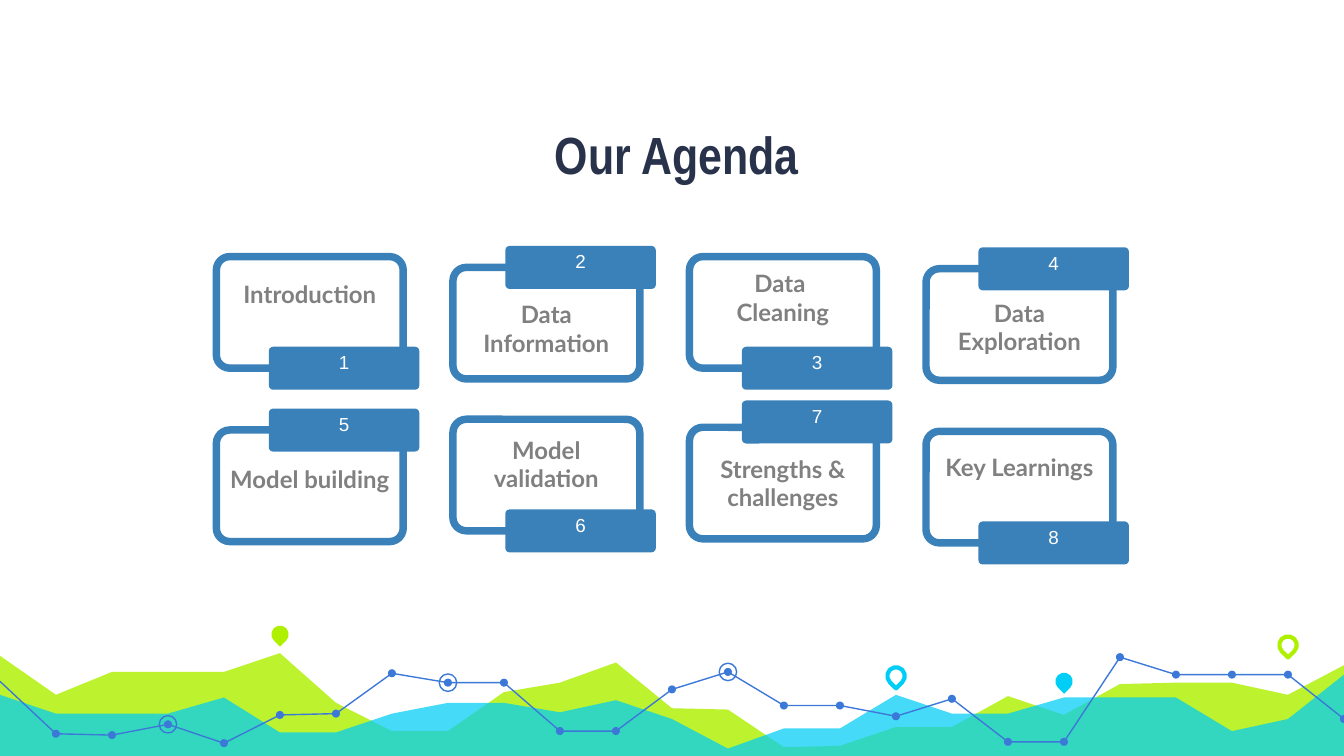
from lxml.etree import SubElement
from pptx import Presentation
from pptx.dml.color import RGBColor
from pptx.enum.shapes import MSO_SHAPE as Shape
from pptx.enum.text import MSO_ANCHOR as Anchor, PP_ALIGN as Align
from pptx.oxml.ns import qn
from pptx.util import Inches, Pt

WHITE = RGBColor(0xFF, 0xFF, 0xFF)
NAVY = RGBColor(0x28, 0x32, 0x4A)
GRAY = RGBColor(0x80, 0x80, 0x80)
STEEL = RGBColor(0x3A, 0x81, 0xBA)
LIME = RGBColor(0xAF, 0xF0, 0x00)
CYAN = RGBColor(0x00, 0xCE, 0xF6)
BLUE = RGBColor(0x3C, 0x78, 0xD8)

WIDTH = 10
HEIGHT = WIDTH * 9 / 16
STEP = WIDTH / 24  # spacing of the chart-like scenery along the bottom

LIME_HILLS = [4.88, 5.17, 5, 5, 5, 4.86, 5.23, 5.44, 5.44, 5.15, 5.08, 4.93, 5.27,
              5.28, 5.56, 5.55, 5.41, 5.41, 5.18, 5.32, 5.09, 5.08, 5.08, 5.17, 4.95]
CYAN_HILLS = [5.17, 5.31, 5.31, 5.31, 5.19, 5.45, 5.45, 5.31, 5.23, 5.23, 5.3, 5.21, 5.35,
              5.57, 5.42, 5.42, 5.17, 5.31, 5.31, 5.19, 5.19, 5.19, 5.44, 5.35, 5.02]
TREND = [5.07, 5.46, 5.47, 5.39, 5.53, 5.32, 5.31, 5.01, 5.08, 5.08, 5.44, 5.44, 5.13,
         5, 5.25, 5.25, 5.33, 5.2, 5.52, 5.52, 4.89, 5.02, 5.02, 5.02, 5.35]
TREND_SPANS = [(0, 11), (11, 20), (20, 24)]
RINGED = [3, 8, 13]
# (step, centre height, colour, filled)
PINS = [(5, 4.72, LIME, True), (16, 5.03, CYAN, False),
        (19, 5.07, CYAN, True), (23, 4.8, LIME, False)]

CARD_LEFT, CARD_PITCH = 1.61, 1.76
CARD_WIDTH, CARD_HEIGHT = 1.39, 0.83
TAG_WIDTH, TAG_HEIGHT, TAG_SHIFT = 1.12, 0.32, 0.39
COLUMNS = 4
# (label, card top, tag offset, label offset, label height), offsets from the card top
CARDS = [
    ("Introduction", 1.91, 0.67, 0.12, 0.37),
    ("Data Information", 1.99, -0.16, 0.19, 0.63),
    ("Data \nCleaning", 1.91, 0.67, 0.04, 0.63),
    ("Data Exploration", 2, -0.16, 0.17, 0.63),
    ("Model building", 3.2, -0.16, 0.21, 0.63),
    ("Model\nvalidation", 3.12, 0.67, 0.07, 0.63),
    ("Strengths & challenges", 3.18, -0.2, 0.15, 0.63),
    ("Key Learnings", 3.21, 0.67, 0.11, 0.32),
]

TITLE_FONT = {"name": "Arial Narrow", "size": Pt(28), "bold": True}
TAG_FONT = {"name": "Arial", "size": Pt(10.1), "bold": False}
LABEL_FONT = {"name": "Lato", "size": Pt(12.8), "bold": True}


def paint(shape, fill=None, line=None, weight=1):
    shape.shadow.inherit = False
    if fill is None:
        shape.fill.background()
    else:
        shape.fill.solid()
        shape.fill.fore_color.rgb = fill
    if line is None:
        shape.line.fill.background()
    else:
        shape.line.color.rgb = line
        shape.line.width = Pt(weight)


def set_opacity(shape, percent):
    color = shape.fill._xPr.find(qn("a:solidFill"))[0]
    SubElement(color, qn("a:alpha"), val=str(percent * 1000))


def write(shape, text, font, color, inset_x, inset_y, anchor=Anchor.TOP):
    frame = shape.text_frame
    frame.text = text
    frame.word_wrap = True
    frame.vertical_anchor = anchor
    frame.margin_left = frame.margin_right = Inches(inset_x)
    frame.margin_top = frame.margin_bottom = Inches(inset_y)
    for para in frame.paragraphs:
        para.alignment = Align.CENTER
        for span in para.runs:
            span.font.color.rgb = color
            for key, value in font.items():
                setattr(span.font, key, value)


def add_preset(page, kind, left, top, width, height):
    return page.shapes.add_shape(
        kind, Inches(left), Inches(top), Inches(width), Inches(height))


def add_centered(page, kind, x, y, size):
    return add_preset(page, kind, x - size / 2, y - size / 2, size, size)


def add_path(page, points, close):
    spots = [(Inches(x), Inches(y)) for x, y in points]
    builder = page.shapes.build_freeform(*spots[0])
    builder.add_line_segments(spots[1:], close=close)
    return builder.convert_to_shape()


def step_points(heights, first=0):
    return [((first + i) * STEP, y) for i, y in enumerate(heights)]


def add_hills(page, heights, color, opacity):
    base = [(WIDTH, HEIGHT), (0, HEIGHT)]
    hills = add_path(page, step_points(heights) + base, close=True)
    paint(hills, fill=color)
    set_opacity(hills, opacity)


def add_pin(page, step, y, color, filled):
    pin = add_centered(page, Shape.TEAR, step * STEP, y, 0.13)
    pin.rotation = 135
    if filled:
        paint(pin, fill=color)
    else:
        paint(pin, line=color, weight=2.25)


def add_trend(page):
    for first, last in TREND_SPANS:
        points = step_points(TREND[first:last + 1], first)
        paint(add_path(page, points, close=False), line=BLUE, weight=0.75)
    for step, (x, y) in enumerate(step_points(TREND)):
        if step > 0:
            paint(add_centered(page, Shape.OVAL, x, y, 0.06), fill=BLUE)
        if step in RINGED:
            ring = add_centered(page, Shape.OVAL, x, y, 0.13)
            paint(ring, line=BLUE, weight=0.75)


def add_card(page, index, label, top, tag_offset, label_offset, label_height):
    left = CARD_LEFT + index % COLUMNS * CARD_PITCH

    border = add_preset(page, Shape.ROUNDED_RECTANGLE, left, top, CARD_WIDTH, CARD_HEIGHT)
    border.adjustments[0] = 0.12
    paint(border, line=STEEL, weight=4)

    tag = add_preset(page, Shape.ROUNDED_RECTANGLE, left + TAG_SHIFT, top + tag_offset,
                     TAG_WIDTH, TAG_HEIGHT)
    tag.adjustments[0] = 0.1
    paint(tag, fill=STEEL)
    write(tag, str(index + 1), TAG_FONT, WHITE, 0.03, 0.02)

    box = page.shapes.add_textbox(Inches(left - 0.01), Inches(top + label_offset),
                                  Inches(1.41), Inches(label_height))
    write(box, label, LABEL_FONT, GRAY, 0.1, 0.05)


def set_title(page, text):
    title = page.shapes.title
    title.left, title.top = Inches(1.21), Inches(0.7)
    title.width, title.height = Inches(7.65), Inches(0.78)
    write(title, text, TITLE_FONT, NAVY, 0.1, 0.1, Anchor.BOTTOM)


def main():
    deck = Presentation()
    deck.slide_width, deck.slide_height = Inches(WIDTH), Inches(HEIGHT)
    page = deck.slides.add_slide(deck.slide_layouts[5])

    add_hills(page, LIME_HILLS, LIME, 82)
    add_hills(page, CYAN_HILLS, CYAN, 73)
    for pin in PINS:
        add_pin(page, *pin)
    add_trend(page)

    set_title(page, "Our Agenda")
    for index, card in enumerate(CARDS):
        add_card(page, index, *card)

    deck.save("out.pptx")


if __name__ == "__main__":
    main()
